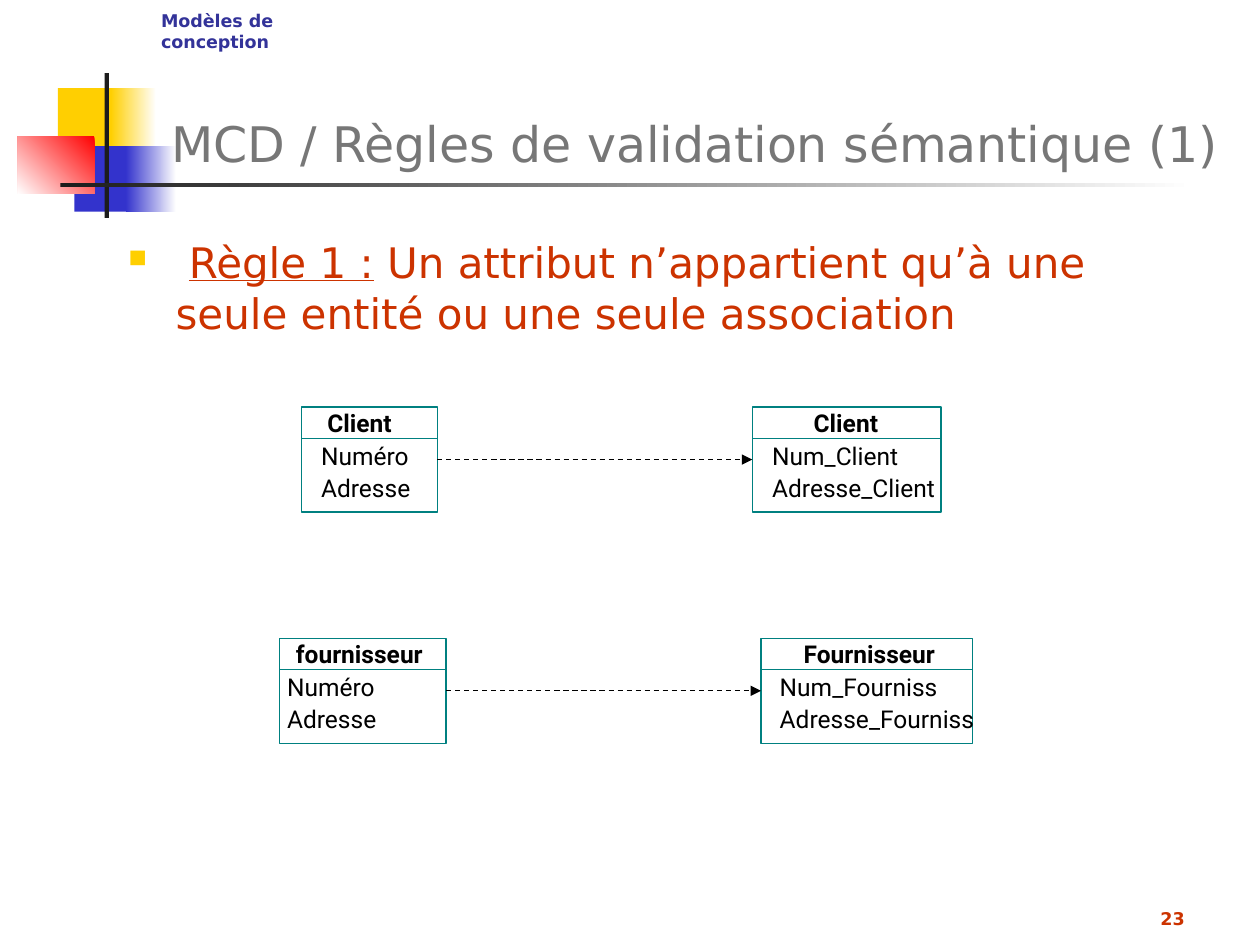
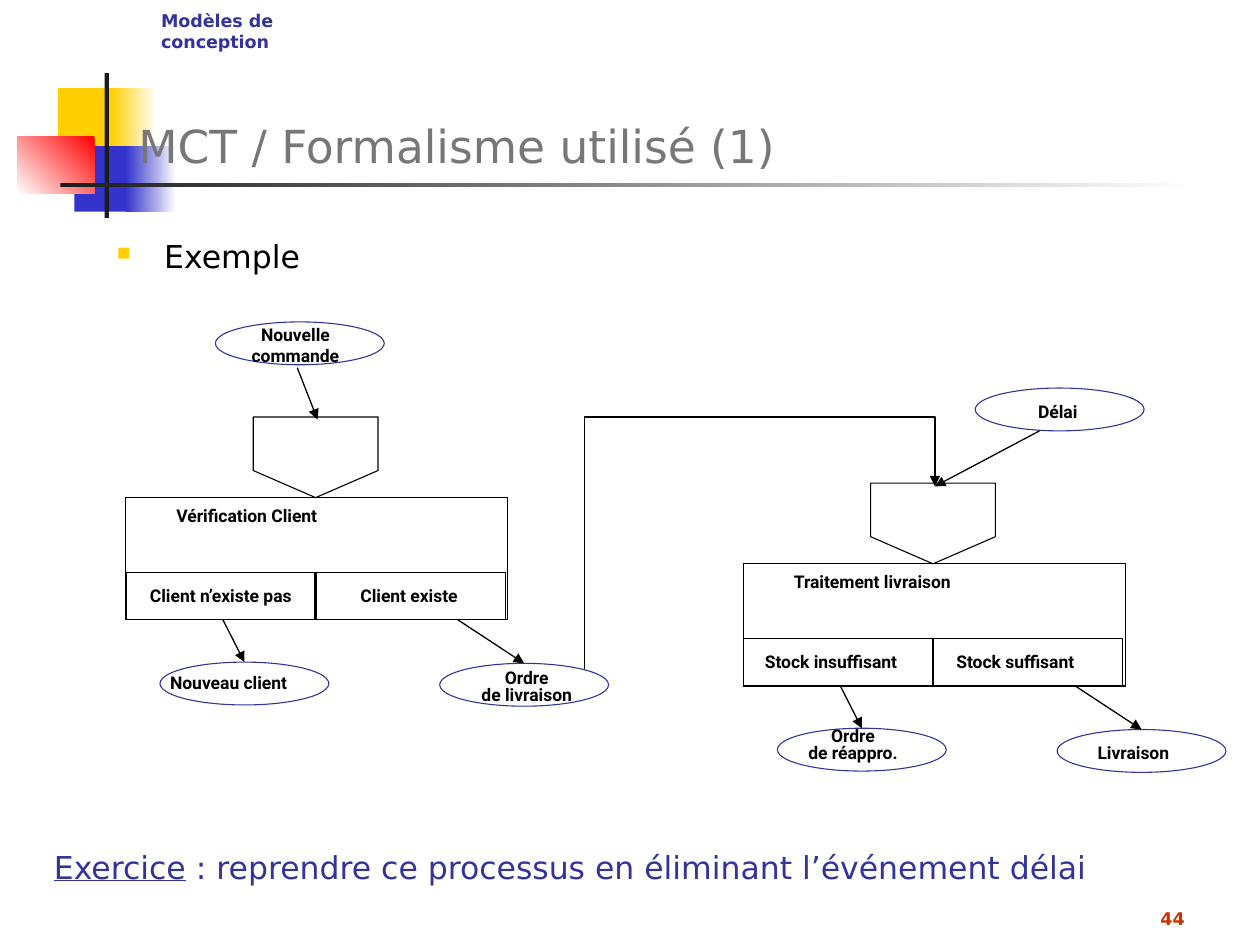
from dataclasses import dataclass, replace

from lxml.etree import SubElement
from pptx import Presentation
from pptx.dml.color import RGBColor as Rgb
from pptx.enum.dml import MSO_LINE_DASH_STYLE as Dash
from pptx.enum.shapes import MSO_CONNECTOR as Link, MSO_SHAPE as Form
from pptx.enum.text import MSO_ANCHOR as Anchor, PP_ALIGN as Align
from pptx.oxml.ns import qn
from pptx.util import Inches, Pt

COLUMNS, ROWS = 100, 75


@dataclass(frozen=True)
class Type:
    font: str
    size: int
    color: str
    bold: bool = False


@dataclass(frozen=True)
class Theme:
    white: str = "FFFFFF"
    black: str = "000000"
    ink: str = "1C1C1C"
    yellow: str = "FFCF01"
    blue: str = "3333CC"
    red: str = "FF0000"
    teal: str = "008080"
    navy: str = "333399"
    thin: float = 0.62
    medium: float = 0.75
    title: Type = Type("DejaVu Sans", 28, "777777")
    title_small: Type = Type("DejaVu Sans", 26, "777777")
    rule: Type = Type("DejaVu Sans", 24, "CC3300")
    body: Type = Type("DejaVu Sans", 18, "000000")
    exercise: Type = Type("DejaVu Sans", 18, "333399")
    header: Type = Type("DejaVu Sans", 10, "333399", True)
    number: Type = Type("DejaVu Sans", 10, "CC3300", True)
    entity: Type = Type("Roboto", 14, "000000", True)
    attribute: Type = Type("Roboto", 14, "000000")
    label: Type = Type("Roboto", 10, "000000", True)


class Sheet:
    def __init__(self, deck, theme):
        self.deck, self.theme = deck, theme
        self.column = deck.slide_width / COLUMNS
        self.row = deck.slide_height / ROWS
        self.page = None

    def place(self, *lengths):
        units = (self.column, self.row)
        return [round(length * units[i % 2]) for i, length in enumerate(lengths)]

    def start(self, title, style, title_at, number):
        theme = self.theme
        self.page = self.deck.slides.add_slide(self.deck.slide_layouts[6])
        self.block((4.6, 7, 4.8, 5.2), theme.yellow)
        self.block((8.8, 7, 3.6, 5.2), theme.yellow, 0)
        self.block((5.9, 11.6, 4.6, 5.2), theme.blue)
        self.block((10, 11.6, 4, 5.2), theme.blue, 0)
        self.block((1.4, 10.8, 6.1, 4.6), theme.red, 225)
        self.block((8.3, 5.8, 0.35, 11.5), theme.ink)
        self.block((4.8, 14.5, 90, 0.35), theme.ink, 0)
        self.text(title_at, title, style, anchor=Anchor.BOTTOM)
        self.text((11.8, 0.3, 17.8, 4), "Modèles de conception", theme.header)
        self.text((74.2, 69.2, 20.8, 5), number, theme.number,
                  align=Align.RIGHT, anchor=Anchor.BOTTOM)

    def block(self, at, color, fade_angle=None):
        box = self.page.shapes.add_shape(Form.RECTANGLE, *self.place(*at))
        box.shadow.inherit = False
        box.line.fill.background()
        if fade_angle is None:
            box.fill.solid()
            box.fill.fore_color.rgb = Rgb.from_string(color)
        else:
            box.fill.gradient()
            box.fill.gradient_angle = fade_angle
            for stop, shade in zip(box.fill.gradient_stops, (color, self.theme.white)):
                stop.color.rgb = Rgb.from_string(shade)

    def stroke(self, item, color, width):
        item.line.color.rgb = Rgb.from_string(color)
        item.line.width = Pt(width)

    def outline(self, form, at, color, width):
        box = self.page.shapes.add_shape(form, *self.place(*at))
        box.shadow.inherit = False
        box.fill.background()
        self.stroke(box, color, width)
        return box

    def text(self, at, words, style, align=Align.LEFT, anchor=Anchor.TOP,
             spacing=None, inset=(0.1, 0.05)):
        frame = self.page.shapes.add_textbox(*self.place(*at)).text_frame
        frame.word_wrap = True
        frame.vertical_anchor = anchor
        frame.margin_left = frame.margin_right = Inches(inset[0])
        frame.margin_top = frame.margin_bottom = Inches(inset[1])
        frame.text = words
        for para in frame.paragraphs:
            para.alignment = align
            para.line_spacing = spacing
            for span in para.runs:
                self.dress(span, style)
        return frame.paragraphs[0]

    def dress(self, span, style, underline=False):
        span.font.name = style.font
        span.font.size = Pt(style.size)
        span.font.bold = style.bold
        span.font.underline = underline
        span.font.color.rgb = Rgb.from_string(style.color)

    def extend(self, para, words, style, underline=False):
        span = para.add_run()
        span.text = words
        self.dress(span, style, underline)

    def bullet(self, para):
        props = para._p.get_or_add_pPr()
        props.set("marL", "342900")
        props.set("indent", "-342900")
        SubElement(SubElement(props, qn("a:buClr")), qn("a:srgbClr")).set("val", self.theme.yellow)
        SubElement(props, qn("a:buSzPct")).set("val", "60000")
        SubElement(props, qn("a:buChar")).set("char", "■")

    def line(self, start, end, color, width=0.75, head=False, dash=False, form=Link.STRAIGHT):
        line = self.page.shapes.add_connector(form, *self.place(*start, *end))
        self.stroke(line, color, width)
        if dash:
            line.line.dash_style = Dash.DASH
        if head:
            SubElement(line.get_or_add_ln(), qn("a:tailEnd")).set("type", "triangle")
        SubElement(line.element.spPr, qn("a:effectLst"))
        return line

    def arrow(self, start, end):
        return self.line(start, end, self.theme.black, head=True)

    def raised_elbow(self, start, end, ridge):
        rise, run = start[1] - end[1], end[0] - start[0]
        middle = ((start[0] + end[0]) / 2, (start[1] + end[1]) / 2)
        elbow = self.line((middle[0] + rise / 2, middle[1] + run / 2),
                          (middle[0] - rise / 2, middle[1] - run / 2),
                          self.theme.black, head=True, form=Link.ELBOW)
        props = elbow.element.spPr
        props.find(qn("a:xfrm")).set("rot", "5400000")
        bend = SubElement(props.find(qn("a:prstGeom")).find(qn("a:avLst")), qn("a:gd"))
        bend.set("name", "adj1")
        bend.set("fmla", f"val {round(100000 * (start[1] - ridge) / rise)}")

    def entity(self, at, name, name_left, name_width, attributes, attributes_left):
        left, top, width, height = at
        box = self.outline(Form.RECTANGLE, at, self.theme.teal, self.theme.medium)
        self.line((left, top + 2.5), (left + width, top + 2.5), self.theme.teal)
        self.text((attributes_left, top + 1.95, 18, 6.2), attributes,
                  self.theme.attribute, spacing=1.1)
        self.text((name_left, top - 0.65, name_width, 3.6), name,
                  self.theme.entity, spacing=1.1)
        return box

    def rename(self, before, after):
        link = self.line((0, 0), (1, 1), self.theme.black, head=True, dash=True)
        link.begin_connect(before, 3)
        link.end_connect(after, 1)

    def label(self, left, top, width, words, align=Align.LEFT, spacing=None):
        height = 1.7 * len(words.split("\n"))
        self.text((left, top, width, height), words, self.theme.label,
                  align, spacing=spacing, inset=(0, 0))

    def event(self, left, top, words, shift, width, align=Align.CENTER, spacing=None):
        oval = self.outline(Form.OVAL, (left, top, 13.4, 3.4), self.theme.navy, self.theme.thin)
        self.label(left + shift[0], top + shift[1], width, words, align, spacing)
        return oval

    def process(self, left, top, name, outcomes):
        black, thin = self.theme.black, self.theme.thin
        corners = [(10.1, -6.4), (20, -6.4), (20, -2.15), (15.05, 0), (10.1, -2.15)]
        first, *others = [tuple(self.place(left + x, top + y)) for x, y in corners]
        builder = self.page.shapes.build_freeform(*first)
        builder.add_line_segments(others, close=True)
        funnel = builder.convert_to_shape()
        funnel.shadow.inherit = False
        funnel.fill.background()
        self.stroke(funnel, black, thin)
        self.outline(Form.RECTANGLE, (left, top, 30.3, 9.7), black, thin)
        self.label(left + 4, top + 0.55, 14.1, name)
        for i, (condition, shift, event) in enumerate(outcomes):
            cell = left + 15 * i
            self.outline(Form.RECTANGLE, (cell, top + 5.95, 15.1, 3.75), black, thin)
            self.label(cell + shift, top + 6.95, 12.5, condition)
            result = self.event(left + 2.7 + 22.2 * i, top + 13.05 + 0.1 * i, **event)
            self.arrow((left + 7.7 + 18.65 * i, top + 9.7), (left, top)).end_connect(result, 0)


def build_rules(sheet):
    theme = sheet.theme
    sheet.start("MCD / Règles de validation sémantique (1)", theme.title,
                (12.6, 1.7, 87.4, 12.5), "23")
    para = sheet.text((9.2, 18.3, 84.2, 11.7), " ", replace(theme.rule, color=theme.black))
    sheet.bullet(para)
    sheet.extend(para, "Règle 1 :", theme.rule, underline=True)
    sheet.extend(para, " Un attribut n’appartient qu’à une seule entité ou une seule association",
                 theme.rule)
    client = sheet.entity((23.9, 32.3, 10.8, 8.35), "Client", 25, 7.7,
                          "Numéro\nAdresse", 24.5)
    renamed_client = sheet.entity((59.7, 32.3, 15, 8.35), "Client", 63.6, 7.7,
                                  "Num_Client\nAdresse_Client", 60.3)
    supplier = sheet.entity((22.2, 50.65, 13.2, 8.35), "fournisseur", 22.5, 13.2,
                            "Numéro\nAdresse", 21.8)
    renamed_supplier = sheet.entity((60.4, 50.65, 16.8, 8.35), "Fournisseur", 62.8, 13.6,
                                    "Num_Fourniss\nAdresse_Fourniss", 60.9)
    sheet.rename(client, renamed_client)
    sheet.rename(supplier, renamed_supplier)


def build_process(sheet):
    theme = sheet.theme
    sheet.start("MCT / Formalisme utilisé (1)", theme.title_small,
                (10, 1.7, 90, 12.5), "44")
    sheet.bullet(sheet.text((8.3, 18.3, 84.2, 4.2), "Exemple", theme.body))
    sheet.event(17.1, 25.55, "Nouvelle\ncommande", (2.5, 0.15), 7.7)
    sheet.process(10, 39.5, "Vérification Client", [
        ("Client n’existe pas", 1.9, dict(
            words="Nouveau client", shift=(0.8, 0.8), width=10.5, align=Align.LEFT)),
        ("Client existe", 3.6, dict(
            words="Ordre\nde livraison", shift=(2.9, 0.6), width=8, spacing=0.8)),
    ])
    sheet.event(77.4, 30.8, "Délai", (4.8, 1), 3.5)
    sheet.process(59, 44.75, "Traitement livraison", [
        ("Stock insuffisant", 1.7, dict(
            words="Ordre\nde réappro.", shift=(2, 0.1), width=8, spacing=0.8)),
        ("Stock suffisant", 1.9, dict(
            words="Livraison", shift=(2.9, 1.3), width=6.3, spacing=0.8)),
    ])
    sheet.arrow((23.6, 29.2), (25.2, 33.3))
    sheet.arrow((82.5, 34.2), (74.2, 38.6))
    sheet.raised_elbow((46.4, 53.1), (74.2, 38.6), 33.1)
    para = sheet.text((3.3, 66.8, 96.7, 4), "Exercice", theme.exercise)
    para.runs[0].font.underline = True
    sheet.extend(para, " : reprendre ce processus en éliminant l’événement délai",
                 theme.exercise)


def main():
    deck = Presentation()
    deck.slide_width, deck.slide_height = Inches(10), Inches(7.5)
    sheet = Sheet(deck, Theme())
    build_rules(sheet)
    build_process(sheet)
    deck.save("out.pptx")


if __name__ == "__main__":
    main()
